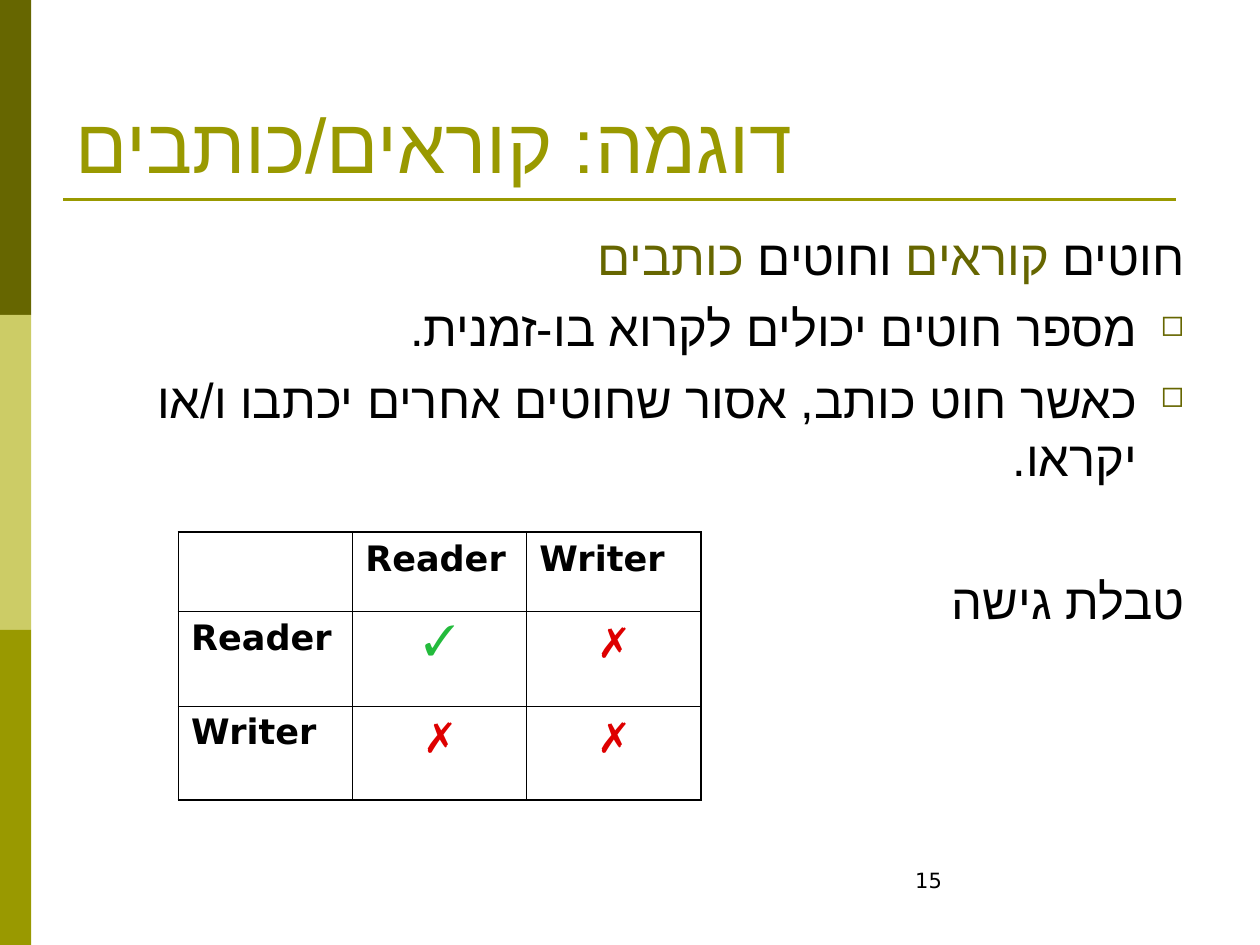
from dataclasses import dataclass

from lxml import etree
from pptx import Presentation
from pptx.dml.color import RGBColor
from pptx.enum.shapes import MSO_CONNECTOR, MSO_SHAPE
from pptx.enum.text import MSO_ANCHOR, PP_ALIGN
from pptx.oxml.ns import qn
from pptx.util import Cm, Pt

LEFT, CENTER, RIGHT = PP_ALIGN.LEFT, PP_ALIGN.CENTER, PP_ALIGN.RIGHT
TOP, BOTTOM = MSO_ANCHOR.TOP, MSO_ANCHOR.BOTTOM
RECTANGLE = MSO_SHAPE.RECTANGLE
STRAIGHT = MSO_CONNECTOR.STRAIGHT


@dataclass(frozen=True)
class Theme:
    black: str = "000000"
    dark_olive: str = "666600"
    light_olive: str = "CCCC66"
    olive: str = "999900"
    allowed: str = "23BB3C"
    denied: str = "DE0000"
    title_size: int = 44
    body_size: int = 28
    mark_size: int = 24
    header_size: int = 20
    number_size: int = 12
    title_font: str = "Times New Roman"
    body_font: str = "DejaVu Sans"
    mark_font: str = "Arial"
    script_font: str = "Arial"
    outer_border: float = 1.08
    inner_border: float = 0.45


def add_element(parent, tag, **attributes):
    return etree.SubElement(parent, qn(tag), attributes)


class SlideBuilder:
    def __init__(self, slide, theme):
        self.slide = slide
        self.theme = theme

    def rectangle(self, left, top, width, height, color):
        shape = self.slide.shapes.add_shape(
            RECTANGLE, Cm(left), Cm(top), Cm(width), Cm(height))
        shape.shadow.inherit = False
        shape.fill.solid()
        shape.fill.fore_color.rgb = RGBColor.from_string(color)
        shape.line.fill.background()

    def rule(self, left, right, y, color, weight):
        line = self.slide.shapes.add_connector(
            STRAIGHT, Cm(left), Cm(y), Cm(right), Cm(y))
        line.line.color.rgb = RGBColor.from_string(color)
        line.line.width = Pt(weight)
        add_element(line._element.spPr, "a:effectLst")

    def text_box(self, left, top, width, height, anchor=TOP):
        box = self.slide.shapes.add_textbox(
            Cm(left), Cm(top), Cm(width), Cm(height))
        box.text_frame.word_wrap = True
        box.text_frame.vertical_anchor = anchor
        return box.text_frame

    def paragraph(self, para, spans, style, align=LEFT, rtl=True,
                  space_before=0, hanging=0, bullet=None):
        """Fill a paragraph with (text, colour) spans sharing one font style."""
        para.alignment = align
        para.space_before = Pt(space_before)
        properties = para._p.get_or_add_pPr()
        properties.set("rtl", str(int(rtl)))
        if hanging:
            properties.set("marL", str(Cm(hanging)))
            properties.set("indent", str(-Cm(hanging)))
        if bullet:
            color = add_element(properties, "a:buClr")
            add_element(color, "a:srgbClr", val=self.theme.dark_olive)
            add_element(properties, "a:buSzPct", val="60000")
            add_element(properties, "a:buChar", char=bullet)
        for text, color in spans:
            span = para.add_run()
            span.text = text
            for name, value in style.items():
                setattr(span.font, name, value)
            span.font.color.rgb = RGBColor.from_string(color)
            for tag in ("a:ea", "a:cs"):
                add_element(span._r.get_or_add_rPr(), tag,
                            typeface=self.theme.script_font)

    def borders(self, cell, outer_sides):
        properties = cell._tc.get_or_add_tcPr()
        for side in "LRTB":
            weight = (self.theme.outer_border if side in outer_sides
                      else self.theme.inner_border)
            line = add_element(properties, f"a:ln{side}", w=str(Pt(weight)))
            fill = add_element(line, "a:solidFill")
            add_element(fill, "a:srgbClr", val=self.theme.black)
        cell.fill.background()

    def access_table(self, left, top, column_width, row_heights, rows):
        theme = self.theme
        header = {"name": theme.body_font, "size": Pt(theme.header_size),
                  "bold": True}
        mark = {"name": theme.mark_font, "size": Pt(theme.mark_size)}
        mark_colors = {"✓": theme.allowed, "✗": theme.denied}
        last_row, last_column = len(rows) - 1, len(rows[0]) - 1
        table = self.slide.shapes.add_table(
            len(rows), len(rows[0]), Cm(left), Cm(top),
            Cm(column_width * len(rows[0])), Cm(sum(row_heights))).table
        for column in table.columns:
            column.width = Cm(column_width)
        for i, (height, texts) in enumerate(zip(row_heights, rows)):
            table.rows[i].height = Cm(height)
            for j, text in enumerate(texts):
                cell = table.cell(i, j)
                edges = {"L": j == 0, "R": j == last_column,
                         "T": i == 0, "B": i == last_row}
                self.borders(cell, [side for side in edges if edges[side]])
                if not text:
                    continue
                is_mark = text in mark_colors
                self.paragraph(
                    cell.text_frame.paragraphs[0],
                    [(text, mark_colors.get(text, theme.black))],
                    mark if is_mark else header,
                    align=CENTER if is_mark else LEFT)


def main():
    theme = Theme()
    deck = Presentation()
    deck.slide_width, deck.slide_height = Cm(25.4), Cm(19.05)
    page = SlideBuilder(deck.slides.add_slide(deck.slide_layouts[6]), theme)

    band_height = 19.05 / 3
    bands = (theme.dark_olive, theme.light_olive, theme.olive)
    for i, color in enumerate(bands):
        page.rectangle(0, i * band_height, 0.63, band_height, color)
    page.rule(1.27, 23.7, 4.02, theme.olive, 1.5)

    title = page.text_box(1.27, 0.76, 22.86, 3.18, anchor=BOTTOM)
    page.paragraph(title.paragraphs[0], [("דוגמה: קוראים/כותבים", theme.olive)],
                   {"name": theme.title_font, "size": Pt(theme.title_size)})

    body = page.text_box(1.27, 4.45, 22.86, 12.57)
    body_style = {"name": theme.body_font, "size": Pt(theme.body_size)}
    black, accent = theme.black, theme.dark_olive
    body_paragraphs = [
        ([("חוטים ", black), ("קוראים", accent),
          (" וחוטים ", black), ("כותבים", accent)], 0, None),
        ([("מספר חוטים יכולים לקרוא בו-זמנית.", black)], 7, "◻"),
        ([("כאשר חוט כותב, אסור שחוטים אחרים יכתבו ו/או יקראו.", black)],
         7, "◻"),
        ([("טבלת גישה", black)], 48, None),
    ]
    for i, (spans, space_before, bullet) in enumerate(body_paragraphs):
        para = body.add_paragraph() if i else body.paragraphs[0]
        page.paragraph(para, spans, body_style, align=RIGHT, hanging=0.95,
                       space_before=space_before, bullet=bullet)

    page.access_table(3.6, 10.73, 3.51, (1.6, 1.9, 1.9), [
        ("", "Reader", "Writer"),
        ("Reader", "✓", "✗"),
        ("Writer", "✗", "✗"),
    ])

    number = page.text_box(18.2, 17.36, 5.93, 1.27)
    page.paragraph(number.paragraphs[0], [("15", black)],
                   {"name": theme.body_font, "size": Pt(theme.number_size)},
                   rtl=False)
    deck.save("out.pptx")


if __name__ == "__main__":
    main()
